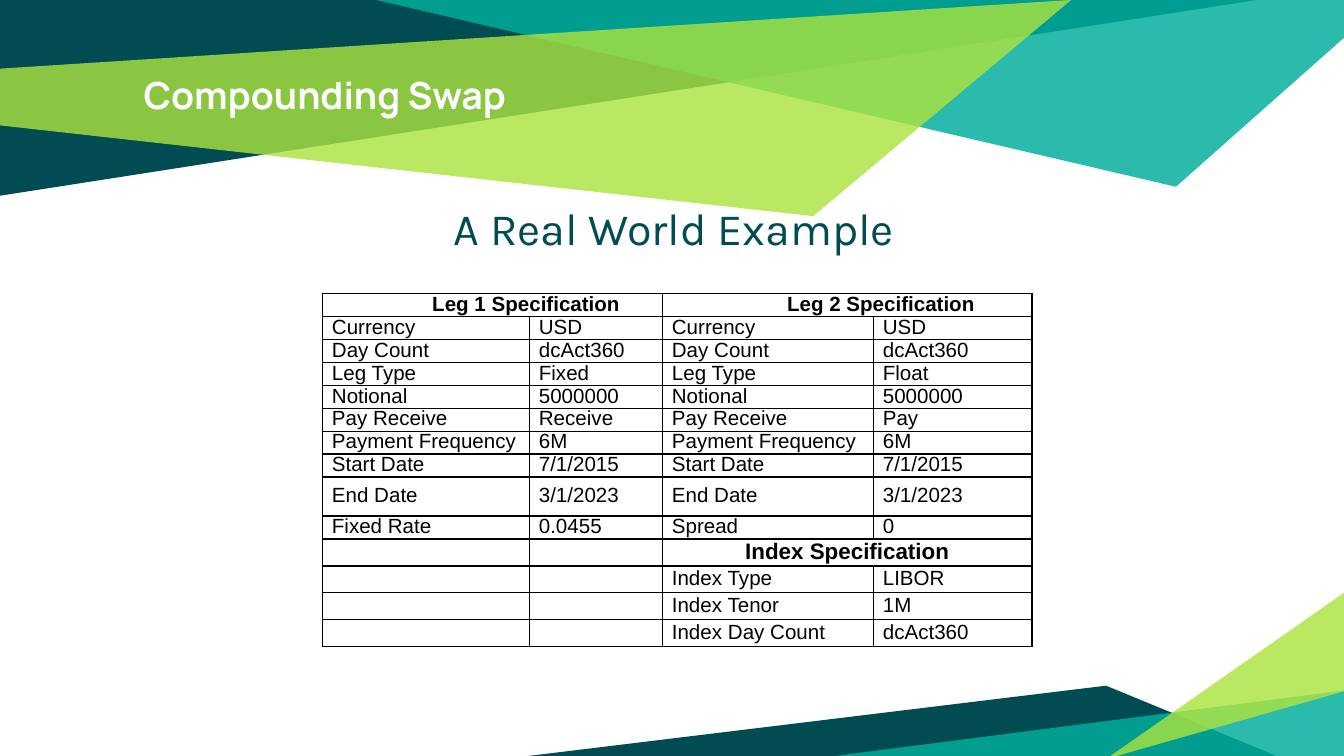
from lxml.etree import SubElement
from pptx import Presentation
from pptx.dml.color import RGBColor
from pptx.enum.text import MSO_ANCHOR as Anchor, PP_ALIGN as Align
from pptx.oxml.ns import qn
from pptx.util import Inches, Pt

WIDTH = Inches(10)
HEIGHT = WIDTH * 9 // 16
DARK, TEAL, LIME = "004C52", "00AE9D", "ABE33F"
WHITE, BLACK = "FFFFFF", "000000"

BANDS = [
    (DARK, 100, [(0, 0), (0, 25.9), (93.5, 0)]),
    (TEAL, 83, [(28, 0), (87.5, 24.7), (100, 5), (100, 0)]),
    (LIME, 81, [(-0.1, 9.1), (0, 16.6), (60.5, 28.6), (79.7, 0)]),
    (DARK, 100, [(39.3, 100), (95, 100), (82.3, 90.7)]),
    (TEAL, 83, [(100.2, 91.3), (100.2, 100.4), (60.4, 100.4)]),
    (LIME, 81, [(100.1, 91.4), (100.1, 78.3), (82.3, 100.4)]),
]

COLUMNS = [15.4, 9.9, 15.7, 11.8]
SHORT_ROW, MEDIUM_ROW, TALL_ROW = 3.03, 3.3, 5.16
LEGS = [
    ("Currency", "USD", "Currency", "USD"),
    ("Day Count", "dcAct360", "Day Count", "dcAct360"),
    ("Leg Type", "Fixed", "Leg Type", "Float"),
    ("Notional", "5000000", "Notional", "5000000"),
    ("Pay Receive", "Receive", "Pay Receive", "Pay"),
    ("Payment Frequency", "6M", "Payment Frequency", "6M"),
    ("Start Date", "7/1/2015", "Start Date", "7/1/2015"),
    ("End Date", "3/1/2023", "End Date", "3/1/2023"),
    ("Fixed Rate", "0.0455", "Spread", "0"),
]
INDEX = [
    ("", "", "Index Type", "LIBOR"),
    ("", "", "Index Tenor", "1M"),
    ("", "", "Index Day Count", "dcAct360"),
]


def across(share):
    return round(WIDTH * share / 100)


def down(share):
    return round(HEIGHT * share / 100)


def paint(target, color):
    target.solid()
    target.fore_color.rgb = RGBColor.from_string(color)


def add_band(page, color, opacity, corners):
    points = [(across(x), down(y)) for x, y in corners]
    builder = page.shapes.build_freeform(*points[0])
    builder.add_line_segments(points[1:], close=True)
    band = builder.convert_to_shape()
    band.shadow.inherit = False
    band.line.fill.background()
    paint(band.fill, color)
    if opacity < 100:
        tint = band.fill._xPr.find(qn("a:solidFill"))[0]
        SubElement(tint, qn("a:alpha"), val=str(opacity * 1000))


def add_span(para, text, font, size, color, bold=False):
    span = para.add_run()
    span.text = text
    span.font.name, span.font.size, span.font.bold = font, Pt(size), bold
    paint(span.font.fill, color)


def indent(para, length):
    para._p.get_or_add_pPr().set("marL", str(length))


def add_text(page, left, top, width, height):
    box = page.shapes.add_textbox(across(left), down(top), across(width), down(height))
    frame = box.text_frame
    frame.word_wrap = True
    frame.margin_left = frame.margin_right = Inches(0.1)
    frame.margin_top = frame.margin_bottom = Inches(0.1)
    return frame.paragraphs[0]


def add_borders(cell):
    properties = cell._tc.get_or_add_tcPr()
    for position, side in enumerate(("lnL", "lnR", "lnT", "lnB")):
        line = properties.makeelement(qn(f"a:{side}"), {"w": str(Pt(0.75))})
        fill = SubElement(line, qn("a:solidFill"))
        SubElement(fill, qn("a:srgbClr"), val=BLACK)
        properties.insert(position, line)


def fill_cell(cell, text, size=11, bold=False):
    cell.margin_left = cell.margin_right = Inches(0.07)
    cell.margin_top = cell.margin_bottom = 0
    cell.vertical_anchor = Anchor.MIDDLE
    cell.fill.background()
    add_borders(cell)
    para = cell.text_frame.paragraphs[0]
    para.line_spacing = 0.93
    if text:
        add_span(para, text, "Arial", size, BLACK, bold)
    else:
        SubElement(para._p, qn("a:endParaRPr"), sz=str(size * 100))
    return para


def add_heading(table, row, column, text, size):
    cell = table.cell(row, column)
    cell.merge(table.cell(row, column + 1))
    fill_cell(table.cell(row, column + 1), "", size)
    para = fill_cell(cell, text, size, True)
    para.alignment = Align.CENTER
    return para


def add_specification(page):
    heights = [SHORT_ROW] * 8 + [TALL_ROW, SHORT_ROW] + [MEDIUM_ROW] * 4
    table = page.shapes.add_table(
        len(heights), len(COLUMNS), across(24), down(38.8),
        across(sum(COLUMNS)), down(sum(heights)),
    ).table
    table.first_row = table.horz_banding = False
    for column, share in zip(table.columns, COLUMNS):
        column.width = across(share)
    for row, share in zip(table.rows, heights):
        row.height = down(share)

    for leg, column in enumerate((0, 2), 1):
        heading = add_heading(table, 0, column, f"Leg {leg} Specification", 11)
        indent(heading, Inches(0.5))
    index_row = len(LEGS) + 1
    add_heading(table, index_row, 2, "Index Specification", 12)
    for column in (0, 1):
        fill_cell(table.cell(index_row, column), "", 12)

    for start, block in ((1, LEGS), (index_row + 1, INDEX)):
        for row, texts in enumerate(block, start):
            for column, text in enumerate(texts):
                fill_cell(table.cell(row, column), text, 11 if text else 12)


def main():
    deck = Presentation()
    deck.slide_width, deck.slide_height = WIDTH, HEIGHT
    page = deck.slides.add_slide(deck.slide_layouts[6])
    paint(page.background.fill, WHITE)
    for band in BANDS:
        add_band(page, *band)

    title = add_text(page, 9.7, 7.8, 80.6, 11.4)
    add_span(title, "Compounding Swap", "Manrope", 20, WHITE, True)
    subtitle = add_text(page, 7.5, 24.8, 84.5, 72.7)
    subtitle.alignment = Align.CENTER
    indent(subtitle, Inches(0.08))
    add_span(subtitle, "A Real World Example", "Karla", 24, DARK)
    add_specification(page)
    deck.save("out.pptx")


if __name__ == "__main__":
    main()
